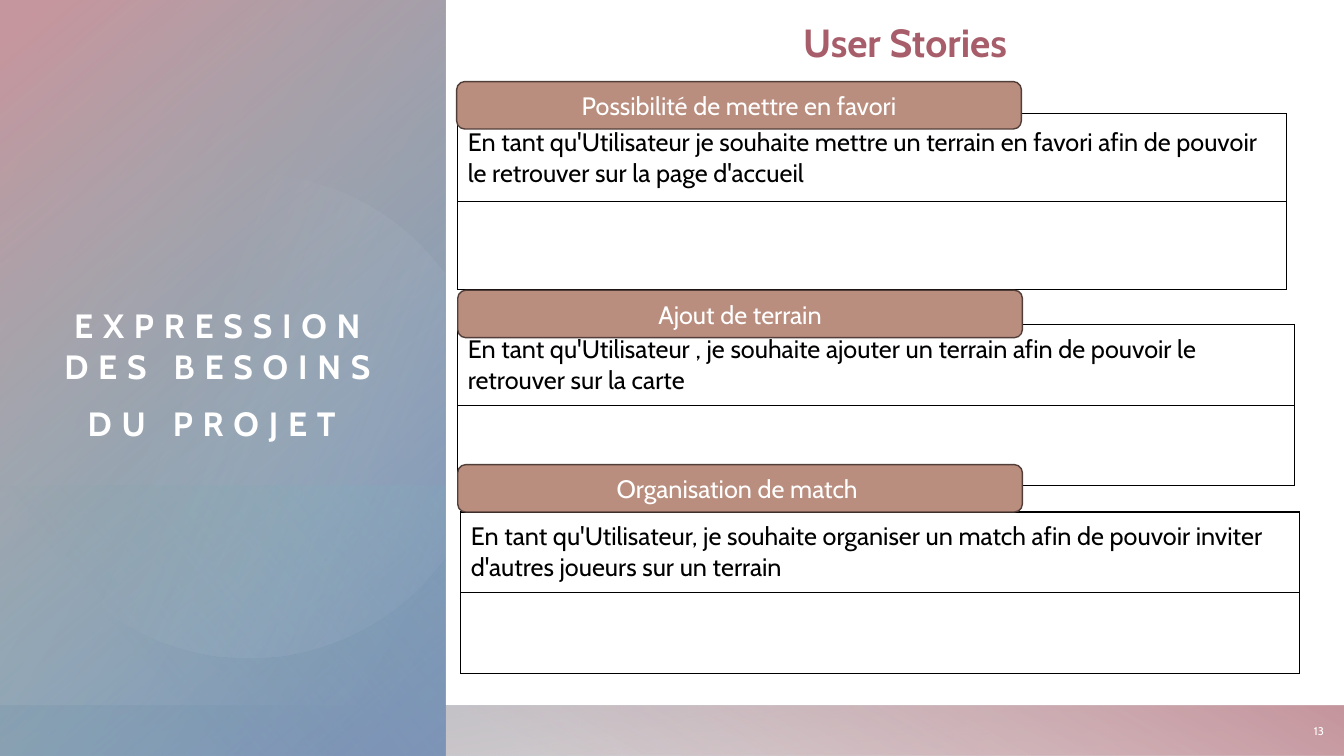
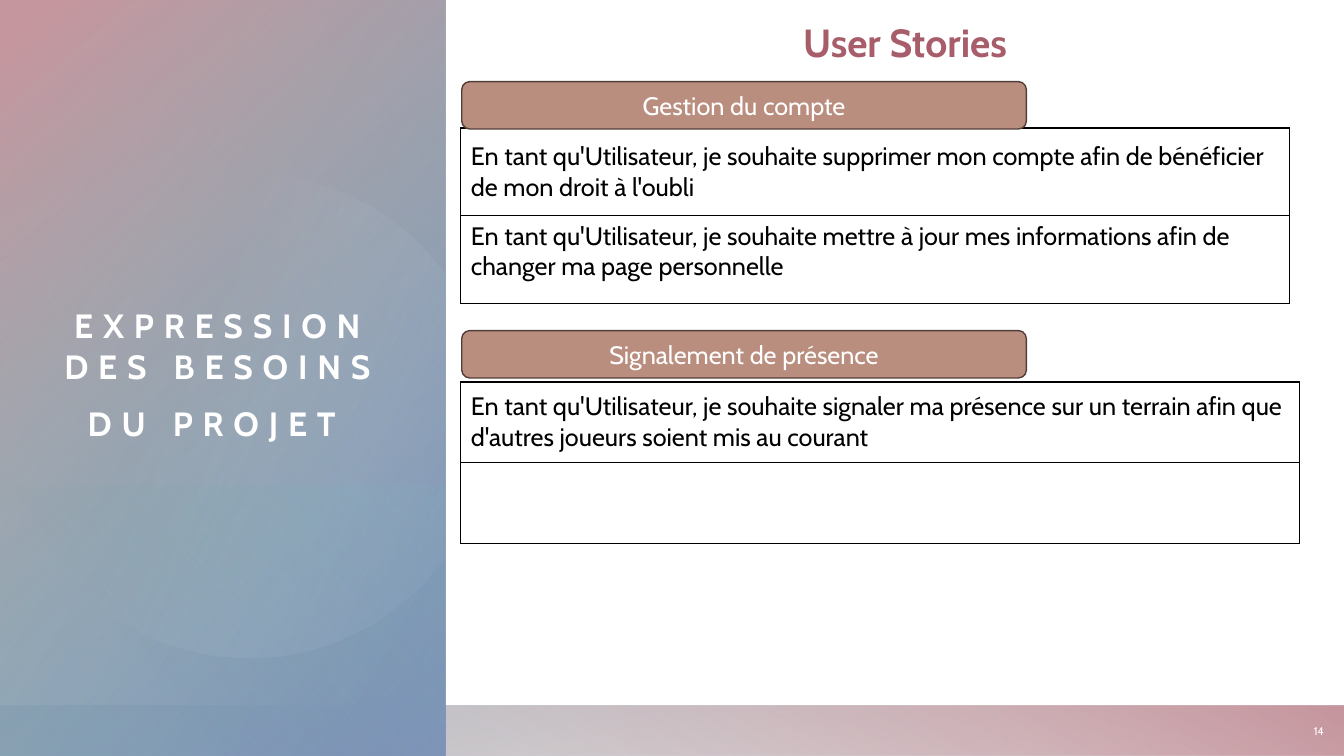
from pptx import Presentation
from pptx.dml.color import RGBColor
from pptx.enum.shapes import MSO_SHAPE
from pptx.enum.text import MSO_ANCHOR, MSO_AUTO_SIZE, PP_ALIGN
from pptx.oxml import parse_xml
from pptx.oxml.ns import nsdecls
from pptx.util import Emu, Pt

PX = 9144  # 100 px to the inch
FONT = "Cabin"
WHITE, BLACK, ROSE = "FFFFFF", "000000", "A75E6A"
CLAY, BROWN = "BA8E7F", "523E38"
SIDE, FOOT = 442, 700  # right edge of the panel, top of the footer

# box, rotation, gradient angle, stops (position, colour, opacity)
BANDS = [
    ((0, FOOT, 1333, 50), 180, 100, [(14, "76ACA6", 28), (100, "7EA8B9", 85)]),
    ((SIDE, FOOT, 892, 50), 0, 240, [(9, "DDC0C5", 55), (99, "C6969E", 100)]),
    ((-154, 154, 750, SIDE), 90, 60, [(8, "7F90BA", 100), (100, "7EA8B9", 72)]),
    ((-154, 154, 750, SIDE), 90, 40, [(0, "76ACA6", 0), (96, "C6969E", 100)]),
    ((87, 396, 268, 440), 90, 130, [(2, "7EA8B9", 35), (67, "76ACA6", 0)]),
]
DISC = ((7, 172, 480, 480), 22, [(39, "E4EEED", 0), (100, "7F90BA", 29)])

# tag text, tag corner, table corner, table width, row height, stories
PAGES = {
    13: [
        ("Possibilité de mettre en favori", (453, 81), (454, 113), 822, 87,
         ["En tant qu'Utilisateur je souhaite mettre un terrain en favori afin "
          "de pouvoir le retrouver sur la page d'accueil"]),
        ("Ajout de terrain", (454, 288), (454, 322), 830, 80,
         ["En tant qu'Utilisateur , je souhaite ajouter un terrain afin de "
          "pouvoir le retrouver sur la carte "]),
        ("Organisation de match ", (454, 461), (457, 508), 832, 80,
         ["En tant qu'Utilisateur, je souhaite organiser un match afin de "
          "pouvoir inviter d'autres joueurs sur un terrain "]),
    ],
    14: [
        ("Gestion du compte", (458, 81), (457, 127), 822, 87,
         ["En tant qu'Utilisateur, je souhaite supprimer mon compte afin de "
          "bénéficier de mon droit à l'oubli ",
          "En tant qu'Utilisateur, je souhaite mettre à jour mes informations "
          "afin de changer ma page personnelle"]),
        ("Signalement de présence", (458, 328), (457, 379), 832, 80,
         ["En tant qu'Utilisateur, je souhaite signaler ma présence sur un "
          "terrain afin que d'autres joueurs soient mis au courant"]),
    ],
}


def px(*nums):
    return [Emu(n * PX) for n in nums]


def rgb(code):
    return RGBColor.from_string(code)


def style(para, size, color, align=PP_ALIGN.LEFT, bold=False):
    para.alignment = align
    font = para.font
    font.name, font.size, font.bold = FONT, Pt(size), bold
    font.color.rgb = rgb(color)


def shade(shape, angle, stops):
    """Fill with a two-stop gradient; the angle runs clockwise."""
    shape.shadow.inherit = False
    shape.line.fill.background()
    fill = shape.fill
    fill.gradient()
    fill.gradient_angle = 360 - angle
    for stop, (pos, color, _) in zip(fill.gradient_stops, stops):
        stop.position = pos / 100
        stop.color.rgb = rgb(color)
    tints = shape._element.spPr.xpath("./a:gradFill//a:srgbClr")
    for tint, (_, _, alpha) in zip(tints, stops):
        tint.append(parse_xml(f'<a:alpha {nsdecls("a")} val="{alpha * 1000}"/>'))


def band(slide, box, turn, angle, stops):
    shape = slide.shapes.add_shape(MSO_SHAPE.RECTANGLE, *px(*box))
    shape.rotation = turn
    shape._element.spPr.xfrm.set("flipH", "1")
    shade(shape, angle, stops)
    return shape


def disc(slide, box, angle, stops):
    """Draw a circle cut off at the right edge of the panel."""
    shape = slide.shapes.add_shape(MSO_SHAPE.CHORD, *px(*box))
    for i, turn in enumerate((36, 324)):
        shape.adjustments[i] = turn * 0.6  # 60000 units to the degree
    shade(shape, angle, stops)
    return shape


def dress(layout, slide):
    """Move the shared decoration to the layout and place its title."""
    decor = [band(slide, *spec) for spec in BANDS] + [disc(slide, *DISC)]
    for shape in decor:
        layout.shapes._spTree.append(shape._element)
    title = layout.placeholders[0]
    title.left, title.top, title.width, title.height = px(43, 113, 355, 330)


def head(slide):
    frame = slide.shapes.title.text_frame
    frame.auto_size, frame.word_wrap = MSO_AUTO_SIZE.NONE, True
    frame.vertical_anchor = MSO_ANCHOR.BOTTOM
    frame.margin_left = frame.margin_right = 0
    frame.margin_top = frame.margin_bottom = 0
    para = frame.paragraphs[0]
    style(para, 24, WHITE, PP_ALIGN.CENTER, True)
    for text, size in [("EXPRESSION DES BESOINS DU PROJET", 24), (" ", 36)]:
        run = para.add_run()
        run.text, run.font.size = text, Pt(size)
        run.font._element.set("spc", "700")


def label(slide, box, text, size, color, align, bold=False,
          anchor=MSO_ANCHOR.TOP):
    frame = slide.shapes.add_textbox(*px(*box)).text_frame
    frame.word_wrap, frame.vertical_anchor = True, anchor
    frame.text = text
    style(frame.paragraphs[0], size, color, align, bold)


def rule(cell):
    """Clear the fill and rule all four sides."""
    cell.fill.background()
    props = cell._tc.get_or_add_tcPr()
    for i, side in enumerate("LRTB"):
        props.insert(i, parse_xml(
            f'<a:ln{side} {nsdecls("a")} w="12700"><a:solidFill>'
            f'<a:srgbClr val="{BLACK}"/></a:solidFill></a:ln{side}>'))


def grid(slide, spot, width, high, stories):
    table = slide.shapes.add_table(2, 1, *px(*spot, width, 2 * high)).table
    table.first_row = table.horz_banding = False
    for i in range(2):
        cell = table.cell(i, 0)
        rule(cell)
        if i < len(stories):
            cell.text = stories[i]
            cell.vertical_anchor = MSO_ANCHOR.TOP if i else MSO_ANCHOR.MIDDLE
            style(cell.text_frame.paragraphs[0], 18, BLACK)


def tag(slide, spot, text):
    shape = slide.shapes.add_shape(
        MSO_SHAPE.FLOWCHART_ALTERNATE_PROCESS, *px(*spot, 560, 47))
    shape.shadow.inherit = False
    shape.fill.solid()
    shape.fill.fore_color.rgb = rgb(CLAY)
    shape.line.color.rgb = rgb(BROWN)
    shape.line.width = Pt(1)
    frame = shape.text_frame
    frame.text, frame.vertical_anchor = text, MSO_ANCHOR.MIDDLE
    style(frame.paragraphs[0], 18, WHITE, PP_ALIGN.CENTER)


def main():
    deck = Presentation()
    deck.slide_width, deck.slide_height = px(1333, 750)
    layout = deck.slide_layouts[5]
    for num, cards in PAGES.items():
        slide = deck.slides.add_slide(layout)
        if len(deck.slides) == 1:
            dress(layout, slide)
        head(slide)
        label(slide, (558, 13, 688, 57), "User Stories ", 28, ROSE,
              PP_ALIGN.CENTER, True)
        label(slide, (1275, 701, 48, 49), str(num), 8, WHITE,
              PP_ALIGN.RIGHT, anchor=MSO_ANCHOR.MIDDLE)
        for name, corner, spot, width, high, stories in cards:
            grid(slide, spot, width, high, stories)
            tag(slide, corner, name)
    deck.save("out.pptx")


if __name__ == "__main__":
    main()
